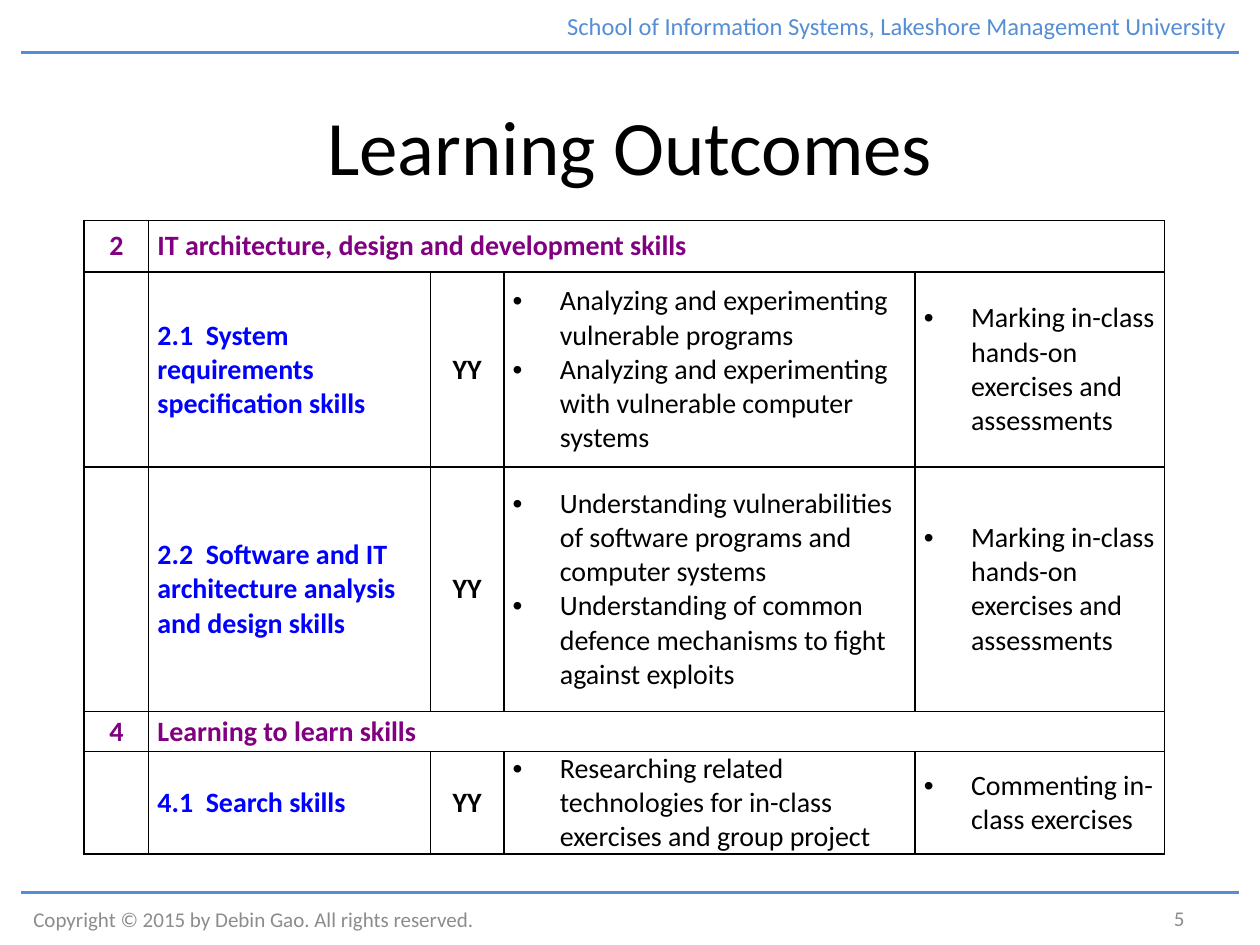
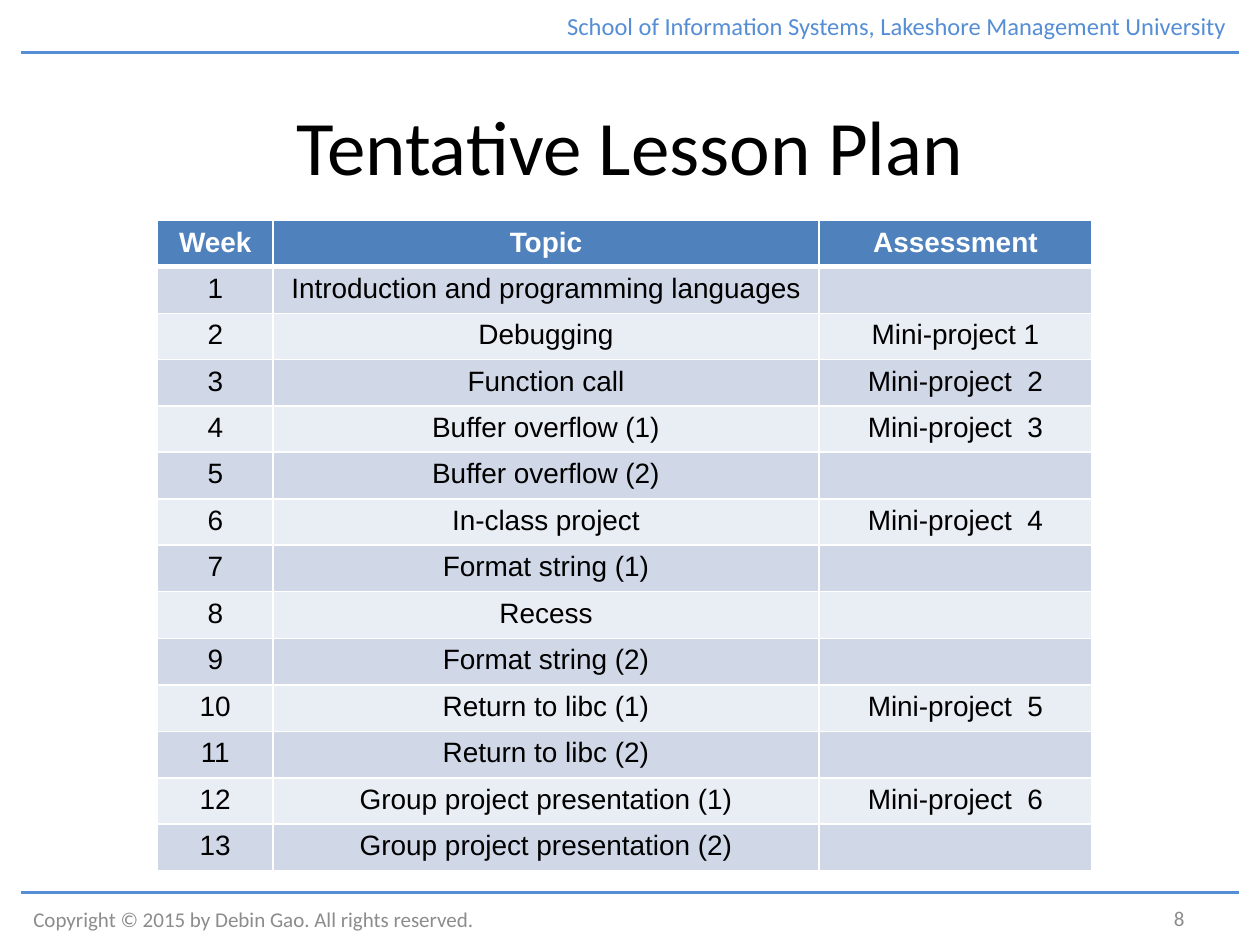
from lxml.etree import SubElement
from pptx import Presentation
from pptx.dml.color import RGBColor
from pptx.enum.shapes import MSO_CONNECTOR
from pptx.enum.text import MSO_ANCHOR as Anchor, PP_ALIGN as Align
from pptx.oxml.ns import qn
from pptx.util import Pt

COLORS = {
    "rule": "558ED5", "footer": "8C8C8C", "black": "000000", "white": "FFFFFF",
    "group": "800080", "skill": "0000FF",
    "header": "4F81BD", "odd": "D0D8E8", "even": "E9EDF4",
}
SCHOOL = "School of Information Systems, Lakeshore Management University"
COPYRIGHT = "Copyright © 2015 by Debin Gao. All rights reserved."


def write(frame, text, size, color, align=Align.LEFT, bold=False, font="Calibri"):
    frame.text = text
    for paragraph in frame.paragraphs:
        paragraph.alignment = align
        for run in paragraph.runs:
            run.font.size = Pt(size)
            run.font.name = font
            run.font.bold = bold
            run.font.color.rgb = RGBColor.from_string(COLORS[color])


def set_borders(cell, color, bottom=1):
    properties = cell._tc.get_or_add_tcPr()
    for side, width in (("L", 1), ("R", 1), ("T", 1), ("B", bottom)):
        border = SubElement(properties, qn(f"a:ln{side}"), w=str(Pt(width)))
        solid = SubElement(border, qn("a:solidFill"))
        SubElement(solid, qn("a:srgbClr"), val=COLORS[color])


deck = Presentation()
deck.slide_width, deck.slide_height = Pt(720), Pt(540)

slides = []
for heading, number in (("Learning Outcomes", "5"), ("Tentative Lesson Plan", "8")):
    slide = deck.slides.add_slide(deck.slide_layouts[5])
    slides.append(slide)
    title = slide.shapes.title
    title.left, title.top, title.width, title.height = Pt(36), Pt(37.5), Pt(648), Pt(90)
    title.text_frame.vertical_anchor = Anchor.MIDDLE
    write(title.text_frame, heading, 44, "black", Align.CENTER)

    for y in (30, 510):
        rule = slide.shapes.add_connector(MSO_CONNECTOR.STRAIGHT, Pt(12), Pt(y), Pt(708), Pt(y))
        rule.line.color.rgb = RGBColor.from_string(COLORS["rule"])
        rule.line.width = Pt(1.5)
        SubElement(rule._element.spPr, qn("a:effectLst"))

    for text, box, size, color, align in (
        (COPYRIGHT, (12, 516, 294, 18), 12, "footer", Align.LEFT),
        (SCHOOL, (282, 0, 426, 29), 14, "rule", Align.RIGHT),
        (number, (516, 515, 168, 19), 12, "footer", Align.RIGHT),
    ):
        band = slide.shapes.add_textbox(*map(Pt, box)).text_frame
        band.word_wrap = True
        band.vertical_anchor = Anchor.MIDDLE
        write(band, text, size, color, align)

outcomes_slide, plan_slide = slides

MARKING = "Marking in-class hands-on exercises and assessments"
outcomes = [
    (29.5, ["2", "IT architecture, design and development skills"]),
    (111.5, ["", "2.1  System requirements specification skills", "YY",
             "Analyzing and experimenting vulnerable programs\n"
             "Analyzing and experimenting with vulnerable computer systems", MARKING]),
    (139.5, ["", "2.2  Software and IT architecture analysis and design skills", "YY",
             "Understanding vulnerabilities of software programs and computer systems\n"
             "Understanding of common defence mechanisms to fight against exploits\u00a0", MARKING]),
    (23, ["4", "Learning to learn skills"]),
    (58.5, ["", "4.1  Search skills", "YY",
            "Researching related technologies for in-class exercises and group project",
            "Commenting in-class exercises"]),
]
outcome_widths = [37, 161, 42, 235, 142.5]
outcome_table = outcomes_slide.shapes.add_table(
    len(outcomes), len(outcome_widths), Pt(48), Pt(126),
    Pt(sum(outcome_widths)), Pt(sum(height for height, _ in outcomes))).table
outcome_table.first_row = outcome_table.horz_banding = False
for column, width in zip(outcome_table.columns, outcome_widths):
    column.width = Pt(width)

for r, (height, texts) in enumerate(outcomes):
    outcome_table.rows[r].height = Pt(height)
    is_group = len(texts) == 2
    for c in range(len(outcome_widths)):
        cell = outcome_table.cell(r, c)
        set_borders(cell, "black")
        cell.fill.background()
        cell.vertical_anchor = Anchor.MIDDLE
        cell.margin_left = cell.margin_right = Pt(5)
        cell.margin_top = cell.margin_bottom = 0
        if c >= len(texts) or not texts[c]:
            continue
        color = "group" if is_group else "skill" if c == 1 else "black"
        align = Align.CENTER if c in (0, 2) else Align.LEFT
        write(cell.text_frame, texts[c], 16, color, align, bold=c < 3)
        if c >= 3:
            for paragraph in cell.text_frame.paragraphs:
                properties = paragraph._p.get_or_add_pPr()
                properties.set("marL", str(Pt(27)))
                properties.set("indent", str(Pt(-27)))
                SubElement(properties, qn("a:buFont"), typeface="Arial")
                SubElement(properties, qn("a:buChar"), char="•")
    if is_group:
        outcome_table.cell(r, 1).merge(outcome_table.cell(r, 4))

lessons = [
    ("Introduction and programming languages", ""),
    ("Debugging", "Mini-project 1"),
    ("Function call", "Mini-project  2"),
    ("Buffer overflow (1)", "Mini-project  3"),
    ("Buffer overflow (2)", ""),
    ("In-class project", "Mini-project  4"),
    ("Format string (1)", ""),
    ("Recess", ""),
    ("Format string (2)", ""),
    ("Return to libc (1)", "Mini-project  5"),
    ("Return to libc (2)", ""),
    ("Group project presentation (1)", "Mini-project  6"),
    ("Group project presentation (2)", ""),
]
plan = [("Week", "Topic", "Assessment")]
plan += [(str(week), *lesson) for week, lesson in enumerate(lessons, 1)]
plan_heights = [25.1 if row[2] else 26.7 for row in plan]
plan_widths = [66, 312, 156]
plan_table = plan_slide.shapes.add_table(
    len(plan), len(plan_widths), Pt(90), Pt(126),
    Pt(sum(plan_widths)), Pt(sum(plan_heights))).table
for column, width in zip(plan_table.columns, plan_widths):
    column.width = Pt(width)

for r, texts in enumerate(plan):
    plan_table.rows[r].height = Pt(plan_heights[r])
    is_header = r == 0
    fill = "header" if is_header else "odd" if r % 2 else "even"
    for c, text in enumerate(texts):
        cell = plan_table.cell(r, c)
        set_borders(cell, "white", bottom=3 if is_header else 1)
        cell.fill.solid()
        cell.fill.fore_color.rgb = RGBColor.from_string(COLORS[fill])
        write(cell.text_frame, text, 16, "white" if is_header else "black",
              Align.CENTER, is_header, "Arial")
        if not text:
            SubElement(cell.text_frame.paragraphs[0]._p, qn("a:endParaRPr"), sz="1600")

deck.save("out.pptx")
